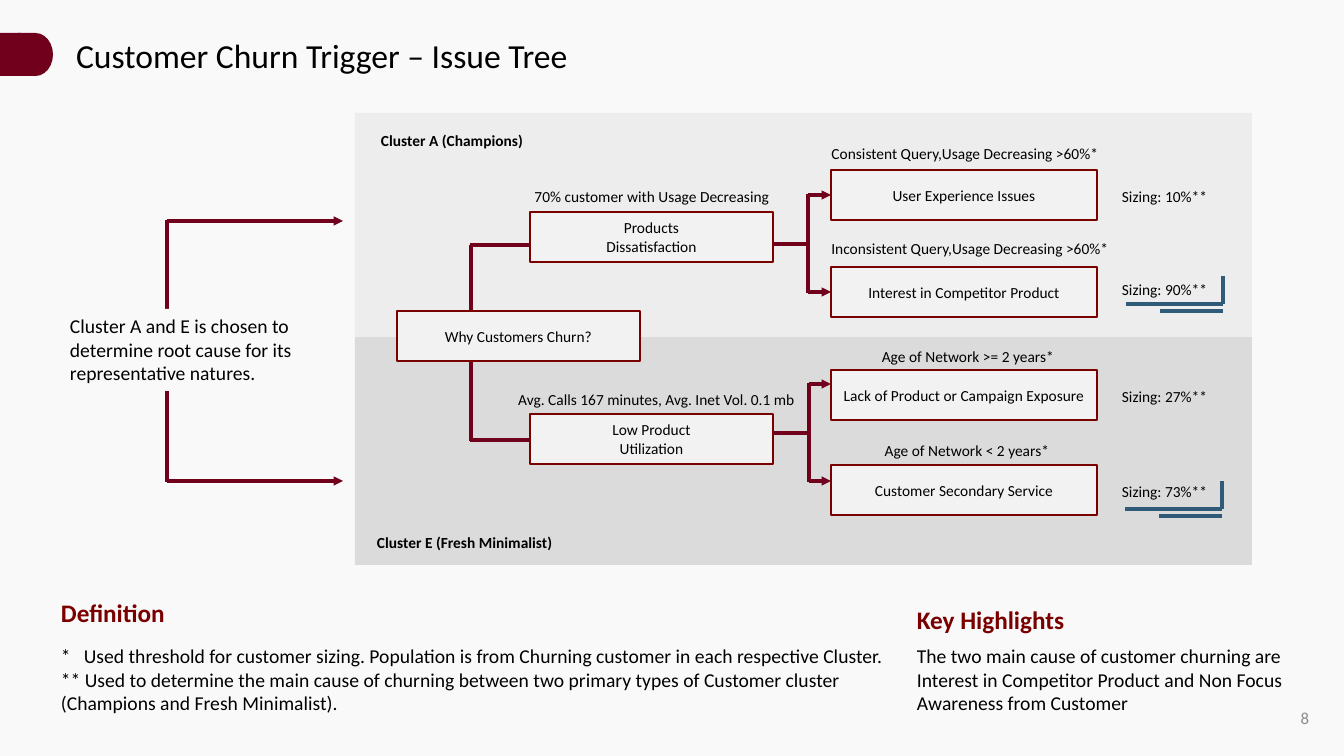
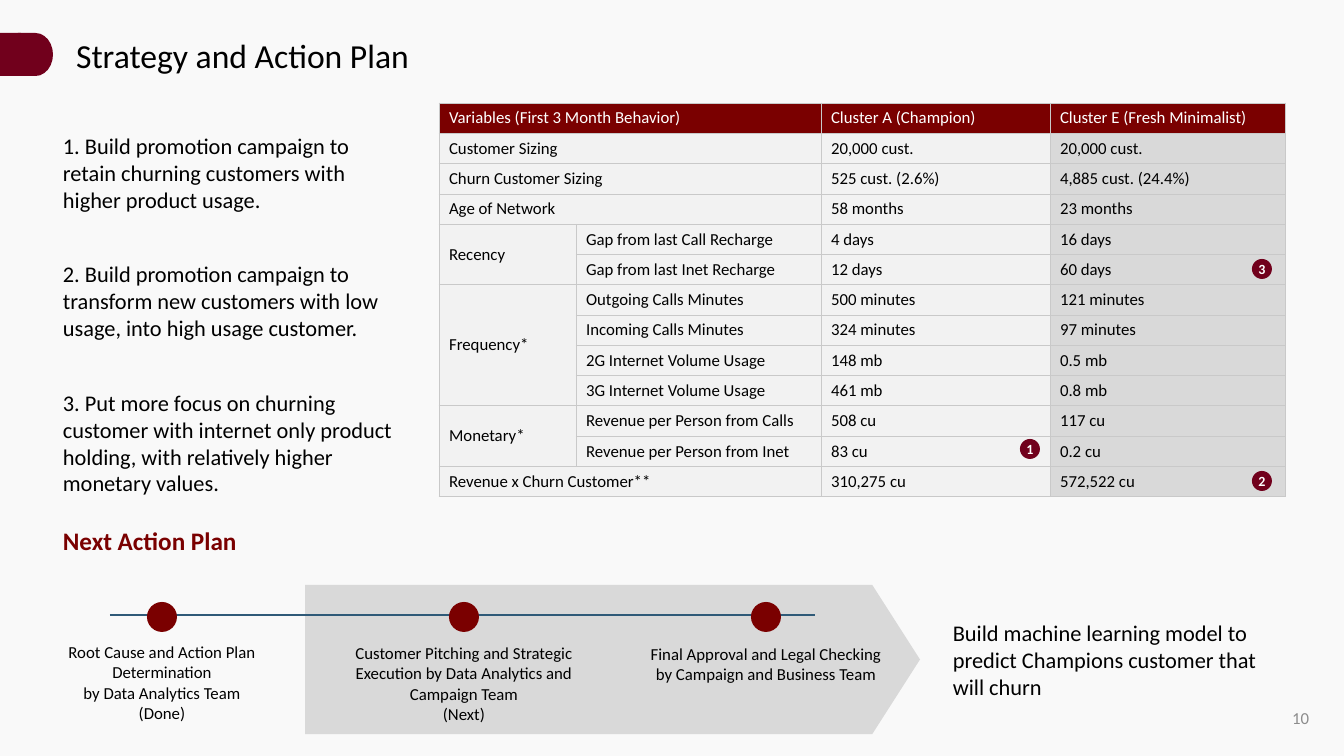
from lxml import etree
from pptx import Presentation
from pptx.dml.color import RGBColor
from pptx.enum.shapes import MSO_CONNECTOR, MSO_SHAPE
from pptx.enum.text import MSO_ANCHOR, MSO_AUTO_SIZE, PP_ALIGN
from pptx.oxml.ns import qn
from pptx.util import Emu, Pt

SLIDE_WIDTH, SLIDE_HEIGHT = 1344, 756
EMU_PER_PX = 12192000 / SLIDE_WIDTH

FONT = "Calibri"
WINE = RGBColor(0x71, 0x00, 0x1C)
RED = RGBColor(0x7A, 0x00, 0x00)
BLUE = RGBColor(0x2F, 0x5A, 0x78)
BLACK = RGBColor(0x00, 0x00, 0x00)
WHITE = RGBColor(0xFF, 0xFF, 0xFF)
PAPER = RGBColor(0xF9, 0xF9, 0xF9)
BOX_GREY = RGBColor(0xF2, 0xF2, 0xF2)
BAND_LIGHT = RGBColor(0xED, 0xED, 0xED)
BAND_DARK = RGBColor(0xDB, 0xDB, 0xDB)
MID_GREY = RGBColor(0xD9, 0xD9, 0xD9)
NUMBER_GREY = RGBColor(0x8C, 0x8C, 0x8C)
BORDER_HEX = "C9C9C9"

RECTANGLE, OVAL = MSO_SHAPE.RECTANGLE, MSO_SHAPE.OVAL
DELAY, ARROW_BAND = MSO_SHAPE.FLOWCHART_DELAY, MSO_SHAPE.PENTAGON
STRAIGHT = MSO_CONNECTOR.STRAIGHT
LEFT, CENTER, RIGHT = PP_ALIGN.LEFT, PP_ALIGN.CENTER, PP_ALIGN.RIGHT
TOP, MIDDLE = MSO_ANCHOR.TOP, MSO_ANCHOR.MIDDLE

HEADING = {"size": 18, "bold": True, "color": RED}
TREE_BOX = {"kind": RECTANGLE, "fill": BOX_GREY, "line": RED, "size": 11,
            "align": CENTER, "anchor": MIDDLE}
TREE_NOTE = {"size": 11, "align": CENTER}
BADGE = {"kind": OVAL, "fill": WINE, "size": 10, "bold": True, "color": WHITE,
         "align": CENTER, "anchor": MIDDLE, "inset": 0}


def add_box(slide, box, text="", kind=None, fill=None, line=None, size=14, bold=False,
            color=BLACK, align=LEFT, anchor=TOP, wrap=True, inset=None):
    """Add a preset shape, or a text box when no kind is given; box is in px."""
    place = [Emu(round(value * EMU_PER_PX)) for value in box]
    if kind is None:
        shape = slide.shapes.add_textbox(*place)
    else:
        shape = slide.shapes.add_shape(kind, *place)
        shape.shadow.inherit = False
        shape.fill.solid()
        shape.fill.fore_color.rgb = fill
        if line is None:
            shape.line.fill.background()
        else:
            shape.line.color.rgb = line
            shape.line.width = Pt(1)
    if text:
        frame = shape.text_frame
        frame.text = text
        for name, value in {"word_wrap": wrap, "vertical_anchor": anchor}.items():
            setattr(frame, name, value)
        if inset is not None:
            for side in ("left", "top", "right", "bottom"):
                setattr(frame, f"margin_{side}", inset)
        for paragraph in frame.paragraphs:
            paragraph.alignment = align
            for run in paragraph.runs:
                for name, value in {"name": FONT, "size": Pt(size), "bold": bold}.items():
                    setattr(run.font, name, value)
                run.font.color.rgb = color
    return shape


def add_line(slide, start, end, color=WINE, width=2.25, arrow=False):
    ends = [Emu(round(value * EMU_PER_PX)) for value in (*start, *end)]
    connector = slide.shapes.add_connector(STRAIGHT, *ends)
    connector.line.color.rgb = color
    connector.line.width = Pt(width)
    properties = connector._element.spPr
    if arrow:
        etree.SubElement(properties.find(qn("a:ln")), qn("a:tailEnd"), type="triangle")
    etree.SubElement(properties, qn("a:effectLst"))
    return connector


presentation = Presentation()
presentation.slide_width = Emu(round(SLIDE_WIDTH * EMU_PER_PX))
presentation.slide_height = Emu(round(SLIDE_HEIGHT * EMU_PER_PX))
background = presentation.slide_master.background.fill
background.solid()
background.fore_color.rgb = PAPER

# Shared frame: side tab, title and page number
slides = []
for title_text, page_number in (("Customer Churn Trigger – Issue Tree", "8"),
                                ("Strategy and Action Plan", "10")):
    slide = presentation.slides.add_slide(presentation.slide_layouts[5])
    title = slide.shapes.title
    for name, value in {"left": 66, "top": 30, "width": 1220, "height": 50}.items():
        setattr(title, name, Emu(round(value * EMU_PER_PX)))
    title.text_frame.text = title_text
    for name, value in {"auto_size": MSO_AUTO_SIZE.NONE, "vertical_anchor": TOP,
                        "word_wrap": True}.items():
        setattr(title.text_frame, name, value)
    paragraph = title.text_frame.paragraphs[0]
    paragraph.alignment = LEFT
    for name, value in {"name": FONT, "size": Pt(24), "bold": False}.items():
        setattr(paragraph.runs[0].font, name, value)
    paragraph.runs[0].font.color.rgb = BLACK
    add_box(slide, (18, 33, 35, 43), kind=DELAY, fill=WINE)
    add_box(slide, (0, 33, 21, 43), kind=RECTANGLE, fill=WINE)
    add_box(slide, (1092, 698, 227, 40), page_number, size=12, color=NUMBER_GREY,
            align=RIGHT, anchor=MIDDLE)
    slides.append(slide)
tree_slide, plan_slide = slides

# Issue tree: cluster bands
for box, fill in (((355, 113, 897, 224), BAND_LIGHT), ((355, 337, 897, 228), BAND_DARK)):
    add_box(tree_slide, box, kind=RECTANGLE, fill=fill)
for box, name in (((371, 126, 169, 29), "Cluster A (Champions)"),
                  ((367, 528, 205, 29), "Cluster E (Fresh Minimalist)")):
    add_box(tree_slide, box, name, size=11, bold=True, wrap=False)

# Issue tree: root and its two branches
BRANCH_LEFT, BRANCH_WIDTH, BOX_HEIGHT = 530, 243, 50
ROOT_TRUNK = 471
add_line(tree_slide, (ROOT_TRUNK, 245), (ROOT_TRUNK, 441))
for elbow_y in (245, 440):
    add_line(tree_slide, (ROOT_TRUNK - 1, elbow_y), (BRANCH_LEFT, elbow_y))
add_box(tree_slide, (397, 311, BRANCH_WIDTH, BOX_HEIGHT), "Why Customers Churn?", **TREE_BOX)

branches = (
    ("Products\nDissatisfaction", 212, "70% customer with Usage Decreasing", (516, 182, 272, 25),
     808, 244, (194, 293)),
    ("Low Product\nUtilization", 414, "Avg. Calls 167 minutes, Avg. Inet Vol. 0.1 mb",
     (493, 385, 327, 47), 809, 433, (383, 482)),
)
for label, top, note, note_box, trunk, stub_y, (trunk_top, trunk_bottom) in branches:
    add_box(tree_slide, (BRANCH_LEFT, top, BRANCH_WIDTH, BOX_HEIGHT), label, **TREE_BOX)
    add_box(tree_slide, note_box, note, **TREE_NOTE)
    add_line(tree_slide, (BRANCH_LEFT + BRANCH_WIDTH, stub_y), (trunk, stub_y))
    add_line(tree_slide, (trunk, trunk_top), (trunk, trunk_bottom))

# Issue tree: leaves with threshold notes and sizing
LEAF_LEFT, LEAF_WIDTH, NOTE_WIDTH = 831, 266, 327
leaves = (
    ("User Experience Issues", 170, 808, 195,
     "Consistent Query,Usage Decreasing >60%*", 965, 139, "Sizing: 10%**", 182),
    ("Interest in Competitor Product", 267, 808, 292,
     "Inconsistent Query,Usage Decreasing >60%*", 970, 234, "Sizing: 90%**", 275),
    ("Lack of Product or Campaign Exposure", 370, 809, 384,
     "Age of Network >= 2 years*", 968, 342, "Sizing: 27%**", 382),
    ("Customer Secondary Service", 465, 809, 481,
     "Age of Network < 2 years*", 967, 436, "Sizing: 73%**", 477),
)
for label, top, trunk, arrow_y, note, note_center, note_top, sizing, sizing_top in leaves:
    leaf = add_box(tree_slide, (LEAF_LEFT, top, LEAF_WIDTH, BOX_HEIGHT), label, **TREE_BOX)
    arrow = add_line(tree_slide, (trunk, arrow_y), (LEAF_LEFT, arrow_y), arrow=True)
    if arrow_y == top + BOX_HEIGHT // 2:
        arrow.end_connect(leaf, 1)
    add_box(tree_slide, (note_center - NOTE_WIDTH / 2, note_top, NOTE_WIDTH, 25), note,
            **TREE_NOTE)
    add_box(tree_slide, (1112, sizing_top, 130, 25), sizing, size=11)

# Issue tree: marks around the two largest sizings
for right, bottom in ((1223, 304), (1222, 509)):
    add_line(tree_slide, (right - 97, bottom), (right, bottom), BLUE)
    add_line(tree_slide, (right - 63, bottom + 7), (right, bottom + 7), BLUE)
    add_line(tree_slide, (right, bottom), (right, bottom - 28), BLUE)

# Issue tree: bracket on the left and explanations below
add_line(tree_slide, (167, 220), (167, 482))
for arrow_y in (221, 481):
    add_line(tree_slide, (167, arrow_y), (343, arrow_y), arrow=True)
add_box(tree_slide, (60, 309, 268, 82),
        "Cluster A and E is chosen to determine root cause for its representative natures.",
        kind=RECTANGLE, fill=PAPER)
add_box(tree_slide, (51, 592, 310, 40), "Definition", **HEADING)
definition = add_box(
    tree_slide, (51, 639, 856, 82),
    "*\tUsed threshold for customer sizing. Population is from Churning customer in each "
    "respective Cluster.\n"
    "** Used to determine the main cause of churning between two primary types of Customer "
    "cluster (Champions and Fresh Minimalist).")
tab_list = etree.SubElement(definition.text_frame.paragraphs[0]._p.get_or_add_pPr(),
                            qn("a:tabLst"))
etree.SubElement(tab_list, qn("a:tab"), pos=str(round(23 * EMU_PER_PX)), algn="l")
add_box(tree_slide, (907, 599, 218, 40), "Key Highlights", **HEADING)
add_box(tree_slide, (907, 639, 387, 82),
        "The two main cause of customer churning are Interest in Competitor Product and "
        "Non Focus Awareness from Customer")

# Action plan: strategies
strategies = (
    "1. Build promotion campaign to retain churning customers with higher product usage.",
    "2. Build promotion campaign to transform new customers with low usage, into high usage "
    "customer.",
    "3. Put more focus on churning customer with internet only product holding, with "
    "relatively higher monetary values.",
)
for index, strategy in enumerate(strategies):
    add_box(plan_slide, (53, 127 + 128.5 * index, 351, 92), strategy, size=16)

# Action plan: cluster comparison; an empty label belongs to a merged cell
rows = (
    ("Variables (First 3 Month Behavior)", "", "Cluster A (Champion)",
     "Cluster E (Fresh Minimalist)"),
    ("Customer Sizing", "", "20,000 cust.", "20,000 cust."),
    ("Churn Customer Sizing", "", "525 cust. (2.6%)", "4,885 cust. (24.4%)"),
    ("Age of Network", "", "58 months", "23 months"),
    ("Recency", "Gap from last Call Recharge", "4 days", "16 days"),
    ("", "Gap from last Inet Recharge", "12 days", "60 days"),
    ("Frequency*", "Outgoing Calls Minutes", "500 minutes", "121 minutes"),
    ("", "Incoming Calls Minutes", "324 minutes", "97 minutes"),
    ("", "2G Internet Volume Usage", "148 mb", "0.5 mb"),
    ("", "3G Internet Volume Usage", "461 mb", "0.8 mb"),
    ("Monetary*", "Revenue per Person from Calls", "508 cu", "117 cu"),
    ("", "Revenue per Person from Inet", "83 cu", "0.2 cu"),
    ("Revenue x Churn Customer**", "", "310,275 cu", "572,522 cu"),
)
column_widths = (137, 245, 229, 235)
ROW_HEIGHT = 30
table_box = (439, 103, sum(column_widths), ROW_HEIGHT * len(rows))
table = plan_slide.shapes.add_table(
    len(rows), len(column_widths),
    *[Emu(round(value * EMU_PER_PX)) for value in table_box]).table
table.first_row = table.horz_banding = False
for column, width in zip(table.columns, column_widths):
    column.width = Emu(round(width * EMU_PER_PX))
for row_index, row in enumerate(rows):
    table.rows[row_index].height = Emu(round(ROW_HEIGHT * EMU_PER_PX))
    for column_index, text in enumerate(row):
        cell = table.cell(row_index, column_index)
        cell.vertical_anchor = MIDDLE
        cell.fill.solid()
        body_fill = MID_GREY if column_index == 3 else BOX_GREY
        cell.fill.fore_color.rgb = RED if row_index == 0 else body_fill
        cell.text = text
        font = cell.text_frame.paragraphs[0].font
        for name, value in {"name": FONT, "size": Pt(12), "bold": False}.items():
            setattr(font, name, value)
        font.color.rgb = WHITE if row_index == 0 else BLACK
        cell_properties = cell._tc.get_or_add_tcPr()
        for position, side in enumerate(("lnL", "lnR", "lnT", "lnB")):
            border = etree.Element(qn(f"a:{side}"), w=str(Pt(0.5)))
            border_fill = etree.SubElement(border, qn("a:solidFill"))
            etree.SubElement(border_fill, qn("a:srgbClr"), val=BORDER_HEX)
            cell_properties.insert(position, border)
    if not row[1]:
        table.cell(row_index, 0).merge(table.cell(row_index, 1))
for first, last in ((4, 5), (6, 9), (10, 11)):
    table.cell(first, 0).merge(table.cell(last, 0))

for number, left, top in (("1", 1020, 439), ("2", 1252, 471), ("3", 1252, 259)):
    add_box(plan_slide, (left, top, 20, 20), number, **BADGE)

# Action plan: timeline
add_box(plan_slide, (53, 520, 310, 40), "Next Action Plan", **HEADING)
arrow_band = add_box(plan_slide, (305, 585, 615, 149), kind=ARROW_BAND, fill=MID_GREY)
arrow_band.adjustments[0] = 0.32
add_line(plan_slide, (110, 615), (815, 615), BLUE, 1.5)
milestones = (
    ("Root Cause and Action Plan Determination\nby Data Analytics Team\n(Done)", 260),
    ("Customer Pitching and Strategic Execution by Data Analytics and Campaign Team\n(Next)",
     299),
    ("Final Approval and Legal Checking by Campaign and Business Team", 258),
)
for index, (caption, width) in enumerate(milestones):
    center = 162 + 302 * index
    add_box(plan_slide, (center - 15, 602, 30, 30), kind=OVAL, fill=RED)
    add_box(plan_slide, (center - width / 2, 637 + index, width, 75), caption, size=12,
            align=CENTER)
add_box(plan_slide, (943, 614, 359, 92),
        "Build machine learning model to predict Champions customer that will churn", size=16)

presentation.save("out.pptx")
